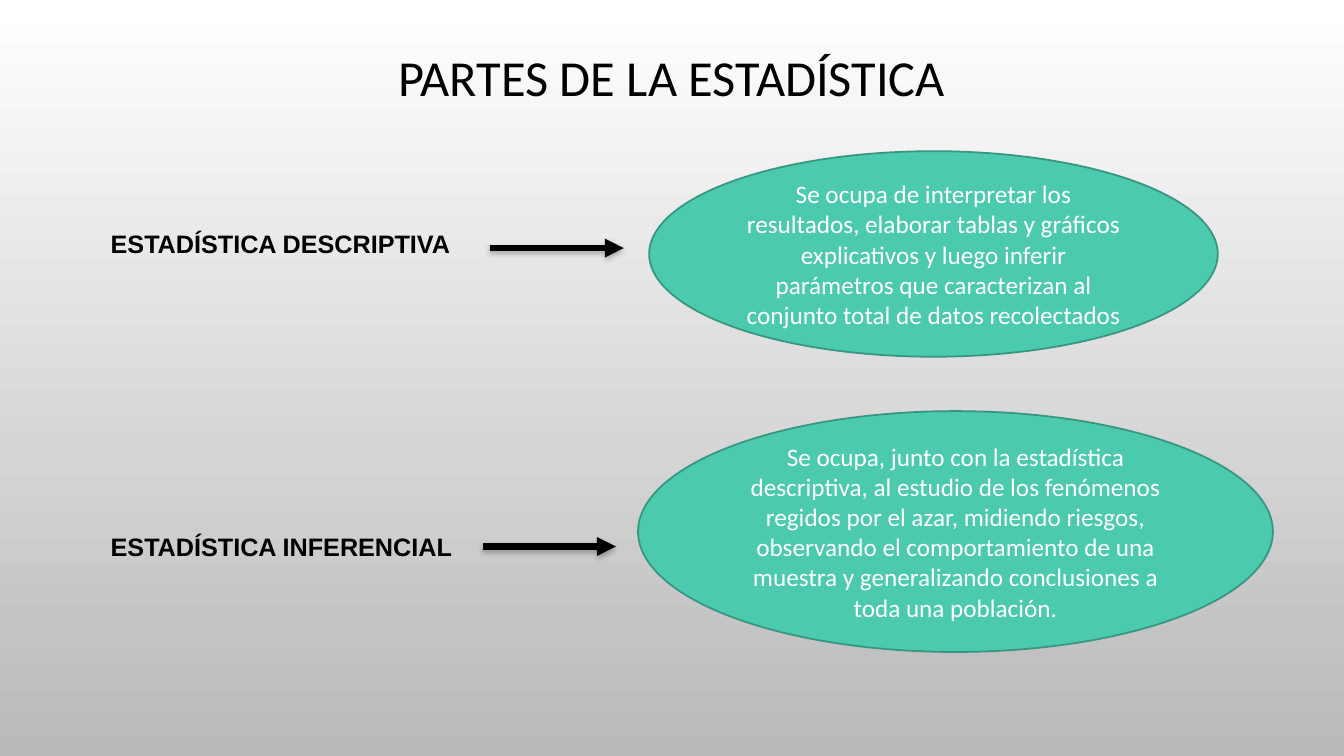
from dataclasses import dataclass

from lxml.etree import SubElement
from pptx import Presentation
from pptx.dml.color import RGBColor
from pptx.enum.shapes import MSO_CONNECTOR, MSO_SHAPE
from pptx.enum.text import MSO_ANCHOR, MSO_AUTO_SIZE, PP_ALIGN
from pptx.oxml import parse_xml
from pptx.oxml.ns import nsdecls, qn
from pptx.util import Cm, Pt


@dataclass(frozen=True)
class Theme:
    ink: RGBColor = RGBColor.from_string("000000")
    light: RGBColor = RGBColor.from_string("FFFFFF")
    shade: RGBColor = RGBColor.from_string("B9B9B9")
    bubble: RGBColor = RGBColor.from_string("4BCAAD")
    bubble_edge: RGBColor = RGBColor.from_string("379580")
    title_size: Pt = Pt(36)
    text_size: Pt = Pt(18)
    arrow_width: Pt = Pt(4.5)
    edge_width: Pt = Pt(1.25)


THEME = Theme()
TITLE_FONT = {"name": "Calibri", "size": THEME.title_size, "color": THEME.ink, "bold": False}
LABEL_FONT = {"name": "Arial", "size": THEME.text_size, "color": THEME.ink, "bold": True}
BUBBLE_FONT = {"name": "Calibri", "size": THEME.text_size, "color": THEME.light, "bold": False}
LABEL_LEFT, LABEL_WIDTH, LABEL_HEIGHT = 2.54, 9.5, 1.2

# Per part: label, its middle, arrow (start, end, height), ellipse box, description; in cm
PARTS = [
    ("ESTADÍSTICA DESCRIPTIVA", 6.13, (12.34, 15.72, 6.25), (16.36, 3.81, 14.33, 5.18),
     "Se ocupa de interpretar los resultados, elaborar tablas y gráficos explicativos "
     "y luego inferir parámetros que caracterizan al conjunto total de datos recolectados"),
    ("ESTADÍSTICA INFERENCIAL", 13.76, (12.16, 15.52, 13.77), (16.08, 10.36, 16, 6.07),
     "Se ocupa, junto con la estadística descriptiva, al estudio de los fenómenos regidos "
     "por el azar, midiendo riesgos, observando el comportamiento de una muestra y "
     "generalizando conclusiones a toda una población."),
]


def write_text(box, text, font, alignment):
    frame = box.text_frame
    frame_format = {"word_wrap": True, "auto_size": MSO_AUTO_SIZE.NONE,
                    "vertical_anchor": MSO_ANCHOR.MIDDLE}
    for name, value in frame_format.items():
        setattr(frame, name, value)
    para = frame.paragraphs[0]
    para.alignment = alignment
    span = para.add_run()
    span.text = text
    for name, value in font.items():
        if name == "color":
            span.font.color.rgb = value
        else:
            setattr(span.font, name, value)
    return para


def paint_background(page):
    fill = page.background.fill
    fill.gradient()
    fill.gradient_angle = 270
    for stop, color in zip(fill.gradient_stops, (THEME.light, THEME.shade)):
        stop.color.rgb = color


def place_title(page, text):
    title = page.shapes.title
    bounds = {"left": Cm(2.54), "top": Cm(0), "width": Cm(28.78), "height": Cm(4.04)}
    for name, value in bounds.items():
        setattr(title, name, value)
    write_text(title, text, TITLE_FONT, PP_ALIGN.CENTER).line_spacing = 0.9


def add_label(page, text, middle):
    box = page.shapes.add_textbox(Cm(LABEL_LEFT), Cm(middle - LABEL_HEIGHT / 2),
                                  Cm(LABEL_WIDTH), Cm(LABEL_HEIGHT))
    write_text(box, text, LABEL_FONT, PP_ALIGN.LEFT)


def add_arrow(page, start, end, height):
    arrow = page.shapes.add_connector(MSO_CONNECTOR.STRAIGHT, Cm(start), Cm(height),
                                      Cm(end), Cm(height))
    arrow.line.color.rgb = THEME.ink
    arrow.line.width = THEME.arrow_width
    SubElement(arrow.line._get_or_add_ln(), qn("a:tailEnd"), type="triangle")
    arrow._element.spPr.append(parse_xml(
        f'<a:effectLst {nsdecls("a")}><a:outerShdw blurRad="{Pt(4)}" dist="{Pt(2)}" '
        f'dir="5400000" rotWithShape="0"><a:srgbClr val="{THEME.ink}">'
        '<a:alpha val="28000"/></a:srgbClr></a:outerShdw></a:effectLst>'))


def add_bubble(page, bounds, text):
    bubble = page.shapes.add_shape(MSO_SHAPE.OVAL, *(Cm(length) for length in bounds))
    bubble.shadow.inherit = False
    bubble.fill.solid()
    bubble.fill.fore_color.rgb = THEME.bubble
    bubble.line.color.rgb = THEME.bubble_edge
    bubble.line.width = THEME.edge_width
    write_text(bubble, text, BUBBLE_FONT, PP_ALIGN.CENTER)


def main():
    deck = Presentation()
    deck.slide_width, deck.slide_height = Cm(33.87), Cm(19.05)
    page = deck.slides.add_slide(deck.slide_layouts.get_by_name("Title Only"))
    paint_background(page)
    place_title(page, "PARTES DE LA ESTADÍSTICA")
    for label, middle, arrow, bounds, description in PARTS:
        add_label(page, label, middle)
        add_arrow(page, *arrow)
        add_bubble(page, bounds, description)
    deck.save("out.pptx")


if __name__ == "__main__":
    main()
